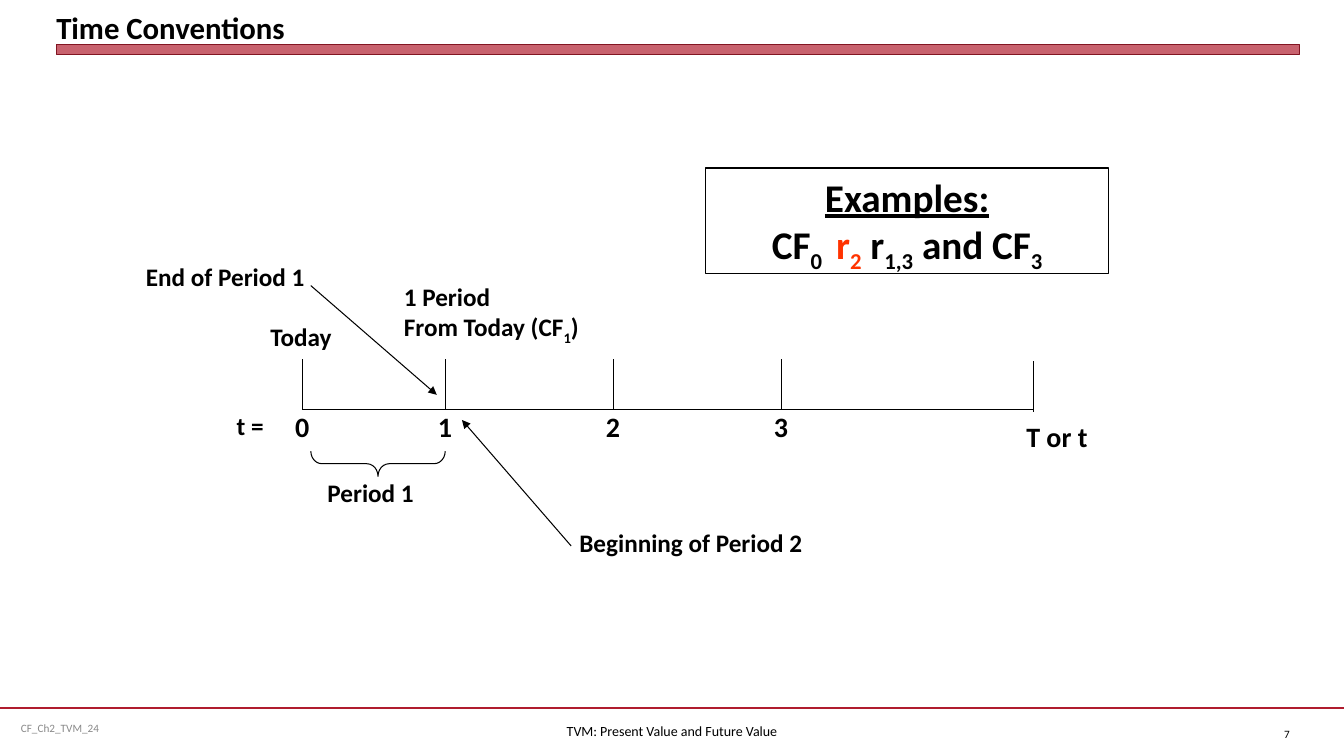
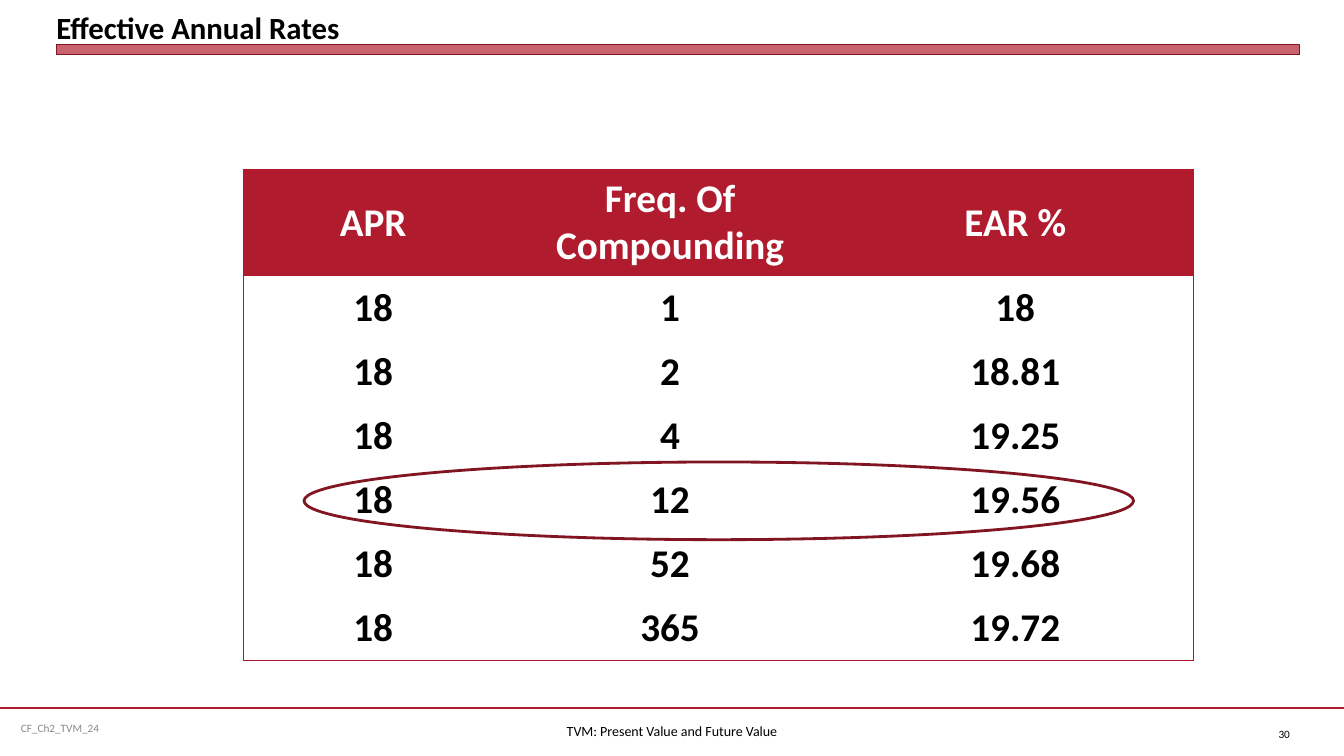
from dataclasses import dataclass
from typing import NamedTuple, Optional

from lxml.etree import SubElement as Sub
from pptx import Presentation
from pptx.dml.color import RGBColor as Rgb
from pptx.enum.shapes import MSO_CONNECTOR as Link, MSO_SHAPE as Form
from pptx.enum.text import MSO_ANCHOR as Anchor, MSO_AUTO_SIZE as Fit, PP_ALIGN as Align
from pptx.oxml.ns import qn
from pptx.util import Emu, Pt


@dataclass(frozen=True)
class Theme:
    face: str = "Calibri"
    black: str = "000000"
    white: str = "FFFFFF"
    gray: str = "898989"
    red: str = "B01C2E"
    dark: str = "821522"
    edge: str = "B0182A"
    hot: str = "FF3300"
    title: int = 22
    big: int = 28
    tick: int = 20
    label: int = 18
    foot: int = 10
    tiny: int = 8
    thin: float = 0.75


class Box(NamedTuple):
    col: float
    row: float
    wide: float
    high: float


class Run(NamedTuple):
    text: str
    low: bool = False
    color: Optional[str] = None


class Para(NamedTuple):
    runs: tuple[Run, ...]
    under: bool = False


class Style(NamedTuple):
    size: int
    bold: bool = True
    color: str = "000000"
    align: Align = Align.LEFT
    anchor: Anchor = Anchor.TOP
    wrap: bool = False
    inset: bool = True


class Label(NamedTuple):
    box: Box
    paras: tuple[Para, ...]
    size: int
    wrap: bool = False


class Line(NamedTuple):
    start: tuple[float, float]
    end: tuple[float, float]
    arrow: bool = False
    color: str = "000000"
    width: float = 0.75


THEME = Theme()
COLS, ROWS, UNIT = 160, 90, 76200
AXIS = 48.75
TICKS = {"0": 36, "1": 53, "2": 73, "3": 93}
LAST = 123


def grid(count: float) -> Emu:
    return Emu(round(count * UNIT))


def place(box: Box) -> list[Emu]:
    return [grid(part) for part in box]


def plain(text: str) -> tuple[Para, ...]:
    return (Para((Run(text),)),)


def write(frame, paras: tuple[Para, ...], style: Style) -> None:
    frame.word_wrap = style.wrap
    frame.vertical_anchor = style.anchor
    for spot, para in enumerate(paras):
        item = frame.add_paragraph() if spot else frame.paragraphs[0]
        item.alignment = style.align
        font = item.font
        font.name, font.size, font.bold = THEME.face, Pt(style.size), style.bold
        font.underline = para.under
        font.color.rgb = Rgb.from_string(style.color)
        for part in para.runs:
            run = item.add_run()
            run.text = part.text
            if part.color:
                run.font.color.rgb = Rgb.from_string(part.color)
            if part.low:
                run._r.get_or_add_rPr().set("baseline", "-25000")


def put_text(slide, box: Box, paras: tuple[Para, ...], style: Style) -> None:
    frame = slide.shapes.add_textbox(*place(box)).text_frame
    if not style.inset:
        frame.margin_left = frame.margin_right = 0
        frame.margin_top = frame.margin_bottom = 0
    frame.auto_size = Fit.NONE if style.wrap else Fit.SHAPE_TO_FIT_TEXT
    write(frame, paras, style)


def put_shape(slide, form: Form, box: Box, color: str, width: float,
              fill: Optional[str] = None):
    shape = slide.shapes.add_shape(form, *place(box))
    shape.shadow.inherit = False
    shape.line.color.rgb = Rgb.from_string(color)
    shape.line.width = Pt(width)
    if fill:
        shape.fill.solid()
        shape.fill.fore_color.rgb = Rgb.from_string(fill)
    else:
        shape.fill.background()
    return shape


def put_line(slide, line: Line) -> None:
    ends = [grid(part) for part in line.start + line.end]
    link = slide.shapes.add_connector(Link.STRAIGHT, *ends)
    link.line.color.rgb = Rgb.from_string(line.color)
    link.line.width = Pt(line.width)
    if line.arrow:
        Sub(link.line._get_or_add_ln(), qn("a:tailEnd"), type="triangle")
    Sub(link.element.spPr, qn("a:effectLst"))


def put_edge(cell, side: str) -> None:
    edge = Sub(cell._tc.get_or_add_tcPr(), qn(f"a:ln{side}"), w=str(Pt(THEME.thin)))
    Sub(Sub(edge, qn("a:solidFill")), qn("a:srgbClr"), val=THEME.edge)


def new_slide(deck, title: str, page: int):
    slide = deck.slides.add_slide(deck.slide_layouts[6])
    put_line(slide, Line((0, 84.25), (COLS, 84.25), color=THEME.red, width=1.25))
    bar = put_shape(slide, Form.RECTANGLE, Box(6.7, 5.3, 148, 1.2),
                    THEME.dark, 0, THEME.red)
    tint = bar.element.spPr.find(qn("a:solidFill")).find(qn("a:srgbClr"))
    Sub(tint, qn("a:alpha"), val="69000")
    put_text(slide, Box(6.7, 0.6, 148, 4.8), plain(title),
             Style(THEME.title, anchor=Anchor.BOTTOM, wrap=True, inset=False))
    feet = (
        (Box(1.3, 84.25, 41.3, 4.8), "CF_Ch2_TVM_24", THEME.tiny, THEME.gray, Align.LEFT),
        (Box(54.7, 84.6, 50.6, 4.8), "TVM: Present Value and Future Value",
         THEME.foot, THEME.black, Align.CENTER),
        (Box(146.75, 85, 8, 4.8), str(page), THEME.tiny, THEME.black, Align.RIGHT),
    )
    for box, text, size, color, align in feet:
        put_text(slide, box, plain(text),
                 Style(size, False, color, align, Anchor.MIDDLE, True))
    return slide


def time_slide(deck) -> None:
    slide = new_slide(deck, "Time Conventions", 7)
    lines = [Line((TICKS["0"], AXIS), (LAST, AXIS))]
    lines += [Line((col, AXIS - 6), (col, AXIS)) for col in TICKS.values()]
    lines += [
        Line((LAST, 43), (LAST, 49)),
        Line((68, 65), (55, 50), True),
        Line((37, 34), (52, 47), True),
    ]
    for line in lines:
        put_line(slide, line)

    brace = put_shape(slide, Form.LEFT_BRACE, Box(43.5, 47.2, 3, 16),
                      THEME.black, THEME.thin)
    brace.rotation = 270
    brace.adjustments[0] = 0.44

    ahead = (
        Para((Run("1 Period"),)),
        Para((Run("From Today (CF"), Run("1", True), Run(")"))),
    )
    labels = [Label(Box(col - 2.05, 48.15, 4.3, 5.2), plain(text), THEME.tick)
              for text, col in TICKS.items()]
    labels += [
        Label(Box(LAST - 2, 49.4, 9.8, 5.2), plain("T or t"), THEME.tick),
        Label(Box(27, 48.25, 6.4, 4.8), plain("t ="), THEME.label),
        Label(Box(31, 37.7, 9.7, 4.8), plain("Today"), THEME.label),
        Label(Box(46.9, 32.9, 23.9, 8.5), ahead, THEME.label, True),
        Label(Box(37.8, 56.2, 12.8, 4.8), plain("Period 1"), THEME.label),
        Label(Box(67.8, 62.2, 29.3, 4.8), plain("Beginning of Period 2"), THEME.label),
        Label(Box(16.2, 30.5, 21.6, 4.8), plain("End of Period 1"), THEME.label),
    ]
    for label in labels:
        put_text(slide, label.box, label.paras, Style(label.size, wrap=label.wrap))

    terms = (
        Run("CF"), Run("0 ", True), Run(" "), Run("r", color=THEME.hot),
        Run("2", True, THEME.hot), Run(" r"), Run("1,3", True),
        Run(" and CF"), Run("3", True),
    )
    panel = put_shape(slide, Form.RECTANGLE, Box(84, 20, 48, 12.6),
                      THEME.black, THEME.thin)
    write(panel.text_frame, (Para((Run("Examples:"),), True), Para(terms)),
          Style(THEME.big, align=Align.CENTER, wrap=True))


def rate_slide(deck) -> None:
    slide = new_slide(deck, "Effective Annual Rates", 30)
    rates = {"1": "18", "2": "18.81", "4": "19.25",
             "12": "19.56", "52": "19.68", "365": "19.72"}
    data = [("APR", "Freq. Of Compounding", "EAR %")]
    data += [("18", freq, rate) for freq, rate in rates.items()]
    wides = (30.85, 39.85, 42.35)
    highs = (12.5,) + (7.63,) * len(rates)
    box = Box(29, 20.2, sum(wides), sum(highs))
    frame = slide.shapes.add_table(len(data), len(wides), *place(box))
    table = frame.table
    table.horz_banding = False
    style = next(frame.element.iter(qn("a:tableStyleId")))
    style.text = "{2D5ABB26-0587-4C30-8999-92F81FD0307C}"
    for col, wide in zip(table.columns, wides):
        col.width = grid(wide)
    for row, high in zip(table.rows, highs):
        row.height = grid(high)
    for y, texts in enumerate(data):
        for x, text in enumerate(texts):
            cell = table.cell(y, x)
            sides = {"L": x == 0, "R": x == len(wides) - 1,
                     "T": y == 0, "B": y == len(data) - 1}
            for side, outer in sides.items():
                if outer:
                    put_edge(cell, side)
            cell.fill.solid()
            cell.fill.fore_color.rgb = Rgb.from_string(THEME.white if y else THEME.red)
            cell.vertical_anchor = Anchor.MIDDLE
            write(cell.text_frame, plain(text),
                  Style(THEME.big, color=THEME.black if y else THEME.white,
                        align=Align.CENTER, anchor=Anchor.MIDDLE, wrap=True))
    put_shape(slide, Form.OVAL, Box(36.2, 55, 98.75, 9.25), THEME.dark, 2)


def main() -> None:
    deck = Presentation()
    deck.slide_width, deck.slide_height = grid(COLS), grid(ROWS)
    time_slide(deck)
    rate_slide(deck)
    deck.save("out.pptx")


if __name__ == "__main__":
    main()
